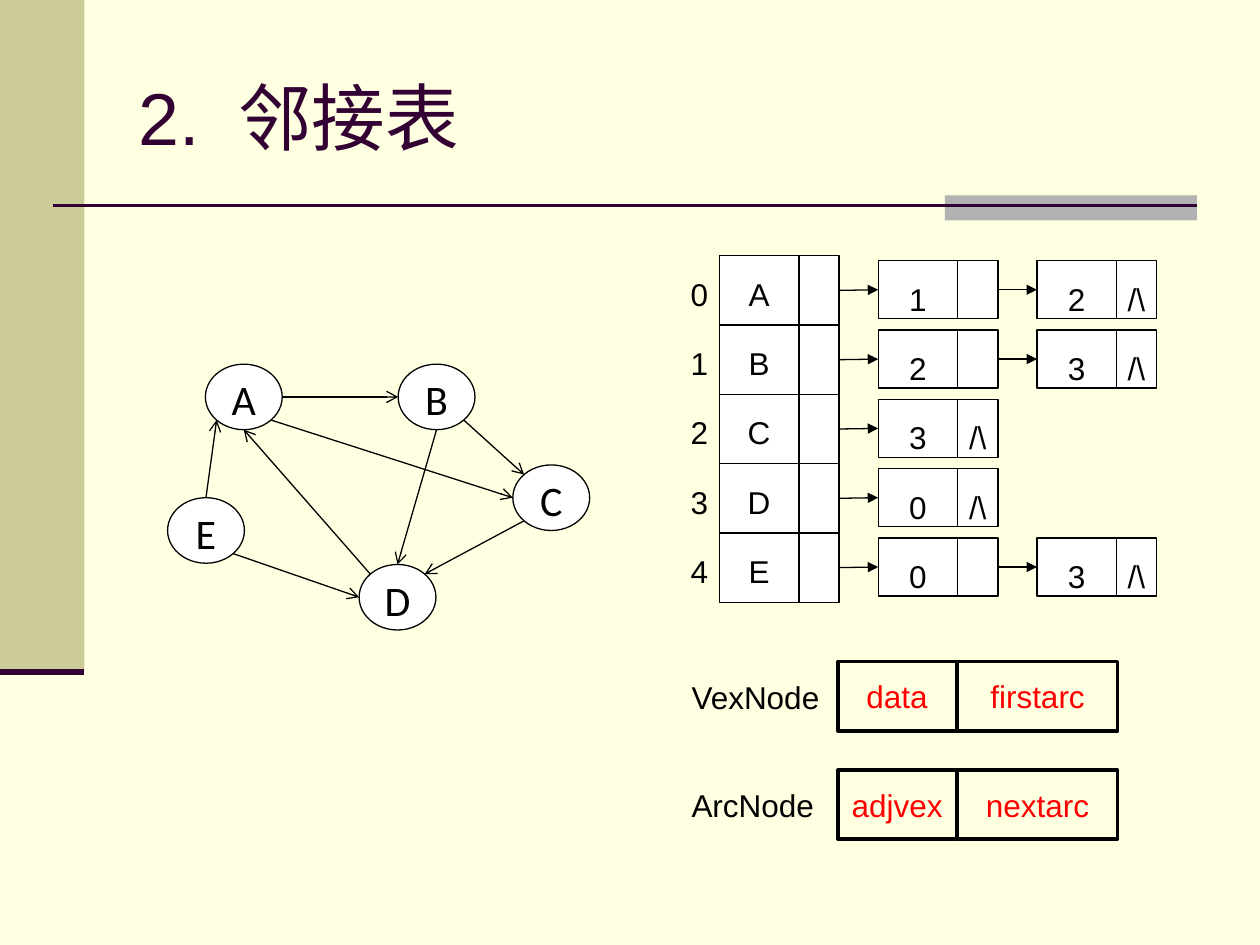
import math
from typing import NamedTuple
from lxml import etree
from pptx import Presentation
from pptx.dml.color import RGBColor
from pptx.enum import shapes, text
from pptx.oxml import ns
from pptx.util import Inches, Pt

CREAM = RGBColor(0xFF, 0xFF, 0xE1)
KHAKI = RGBColor(0xCC, 0xCC, 0x99)
GRAY = RGBColor(0xB2, 0xB2, 0xB2)
PLUM = RGBColor(0x33, 0x00, 0x33)
WHITE = RGBColor(0xFF, 0xFF, 0xFF)
BLACK = RGBColor(0x00, 0x00, 0x00)
RED = RGBColor(0xFF, 0x00, 0x00)
RECT = shapes.MSO_SHAPE.RECTANGLE
OVAL = shapes.MSO_SHAPE.OVAL
LEFT, CENTER = text.PP_ALIGN.LEFT, text.PP_ALIGN.CENTER
TOP, MIDDLE = text.MSO_ANCHOR.TOP, text.MSO_ANCHOR.MIDDLE


class Box(NamedTuple):
    x: float
    y: float
    w: float
    h: float


class Node(NamedTuple):
    name: str
    x: float
    y: float


class Edge(NamedTuple):
    start: str
    out: int
    end: str
    into: int


class Row(NamedTuple):
    name: str
    arcs: tuple[str, ...]


class Struct(NamedTuple):
    name: str
    y: float
    w: float
    fields: tuple[str, str]


NODES = (Node("A", 1.63, 2.89), Node("B", 3.16, 2.89), Node("C", 4.07, 3.69),
         Node("D", 2.85, 4.48), Node("E", 1.33, 3.95))
EDGES = (Edge("A", 0, "B", 180), Edge("A", 45, "C", 180),
         Edge("B", 45, "C", 225), Edge("B", 90, "D", 270),
         Edge("C", 135, "D", 315), Edge("D", 225, "A", 90),
         Edge("E", 45, "D", 180), Edge("E", 270, "A", 135))
ROWS = (Row("A", ("1", "2")), Row("B", ("2", "3")), Row("C", ("3",)),
        Row("D", ("0",)), Row("E", ("0", "3")))
STRUCTS = (Struct("VexNode", 5.25, 1.23, ("data", "firstarc")),
           Struct("ArcNode", 6.11, 1.17, ("adjvex", "nextarc")))
OVAL_W, OVAL_H = 0.61, 0.52
LIST_X, LIST_Y, STEP_X, STEP_Y = 5.71, 2.03, 1.26, 0.55
DATA_W, LINK_W, ARC_H, ARC_DY = 0.63, 0.32, 0.46, 0.04

deck = Presentation()
deck.slide_width, deck.slide_height = Inches(10), Inches(7.5)
slide = deck.slides.add_slide(deck.slide_layouts[5])
slide.background.fill.solid()
slide.background.fill.fore_color.rgb = CREAM


def write(shape, label: str, font: str = "Arial", size: int = 18,
          color: RGBColor = BLACK, align=CENTER, anchor=TOP,
          inset: tuple[float, float] = (0, 0), space: float = 1,
          wrap: bool = True) -> None:
    frame = shape.text_frame
    frame.word_wrap, frame.vertical_anchor = wrap, anchor
    frame.margin_left = frame.margin_right = Inches(inset[0])
    frame.margin_top = frame.margin_bottom = Inches(inset[1])
    para = frame.paragraphs[0]
    para.text, para.alignment, para.line_spacing = label, align, space
    para.font.name, para.font.size = font, Pt(size)
    para.font.color.rgb = color


def draw(box: Box, fill: RGBColor, line: float = 0, kind=RECT):
    shape = slide.shapes.add_shape(kind, *map(Inches, box))
    shape.shadow.inherit = False
    shape.fill.solid()
    shape.fill.fore_color.rgb = fill
    if line:
        shape.line.color.rgb, shape.line.width = BLACK, Pt(line)
    else:
        shape.line.fill.background()
    return shape


def join(start: tuple[float, float], end: tuple[float, float],
         color: RGBColor = BLACK, width: float = 0.75, head: str = ""):
    line = slide.shapes.add_connector(
        shapes.MSO_CONNECTOR.STRAIGHT, *map(Inches, start + end))
    line.line.color.rgb, line.line.width = color, Pt(width)
    if head:
        tail = etree.SubElement(line.line._get_or_add_ln(), ns.qn("a:tailEnd"))
        tail.set("type", head)
    etree.SubElement(line._element.spPr, ns.qn("a:effectLst"))
    return line


def label(box: Box, words: str, **style) -> None:
    write(slide.shapes.add_textbox(*map(Inches, box)), words, **style)


def cell(box: Box, words: str = ""):
    shape = draw(box, WHITE, 0.75)
    if words:
        write(shape, words, space=1.5)
    return shape


def site(node: Node, angle: int) -> tuple[float, float]:
    turn = math.radians(angle)
    return (node.x + OVAL_W / 2 * (1 + math.cos(turn)),
            node.y + OVAL_H / 2 * (1 + math.sin(turn)))


def frame_slide() -> None:
    draw(Box(0, 0, 0.67, 5.33), KHAKI)
    draw(Box(7.5, 1.55, 2, 0.2), GRAY)
    join((0.42, 1.63), (9.5, 1.63), PLUM, 1.5)
    join((0, 5.33), (0.67, 5.33), PLUM, 3.5)
    title = slide.shapes.title
    title.left, title.top, title.width, title.height = map(
        Inches, (1, 0.3, 8.5, 1.25))
    props = title.text_frame.paragraphs[0]._p.get_or_add_pPr()
    stops = etree.SubElement(props, ns.qn("a:tabLst"))
    etree.SubElement(stops, ns.qn("a:tab"), pos=str(Inches(0.79)), algn="l")
    write(title, "2.\t邻接表", size=42, color=PLUM, align=LEFT,
          anchor=MIDDLE, inset=(0.1, 0.05))


def draw_graph() -> None:
    for node in NODES:
        oval = draw(Box(node.x, node.y, OVAL_W, OVAL_H), WHITE, 0.75, OVAL)
        write(oval, node.name, "Calibri", 24)
    named = {node.name: node for node in NODES}
    for edge in EDGES:
        join(site(named[edge.start], edge.out),
             site(named[edge.end], edge.into), head="arrow")


def draw_list() -> None:
    for i, row in enumerate(ROWS):
        y = LIST_Y + i * STEP_Y
        label(Box(5.39, y, LINK_W, STEP_Y), str(i), space=1.5)
        cell(Box(LIST_X, y, DATA_W, STEP_Y), row.name)
        link = cell(Box(LIST_X + DATA_W, y, LINK_W, STEP_Y))
        for j, arc in enumerate(row.arcs, 1):
            x = LIST_X + j * STEP_X
            data = cell(Box(x, y + ARC_DY, DATA_W, ARC_H), arc)
            line = join((0, 0), (0, 0), head="triangle")
            line.begin_connect(link, 3)
            line.end_connect(data, 1)
            link = cell(Box(x + DATA_W, y + ARC_DY, LINK_W, ARC_H),
                        "/\\" if j == len(row.arcs) else "")


def draw_structs() -> None:
    for item in STRUCTS:
        label(Box(5.39, item.y + 0.08, item.w, 0.4), item.name, align=LEFT,
              inset=(0.1, 0.05), wrap=False)
        for field, x, w in zip(item.fields, (6.65, 7.6), (0.94, 1.27)):
            shape = draw(Box(x, item.y, w, 0.55), CREAM, 2)
            write(shape, field, color=RED, anchor=MIDDLE, inset=(0.1, 0.05))


if __name__ == "__main__":
    frame_slide()
    draw_graph()
    draw_list()
    draw_structs()
    deck.save("out.pptx")
